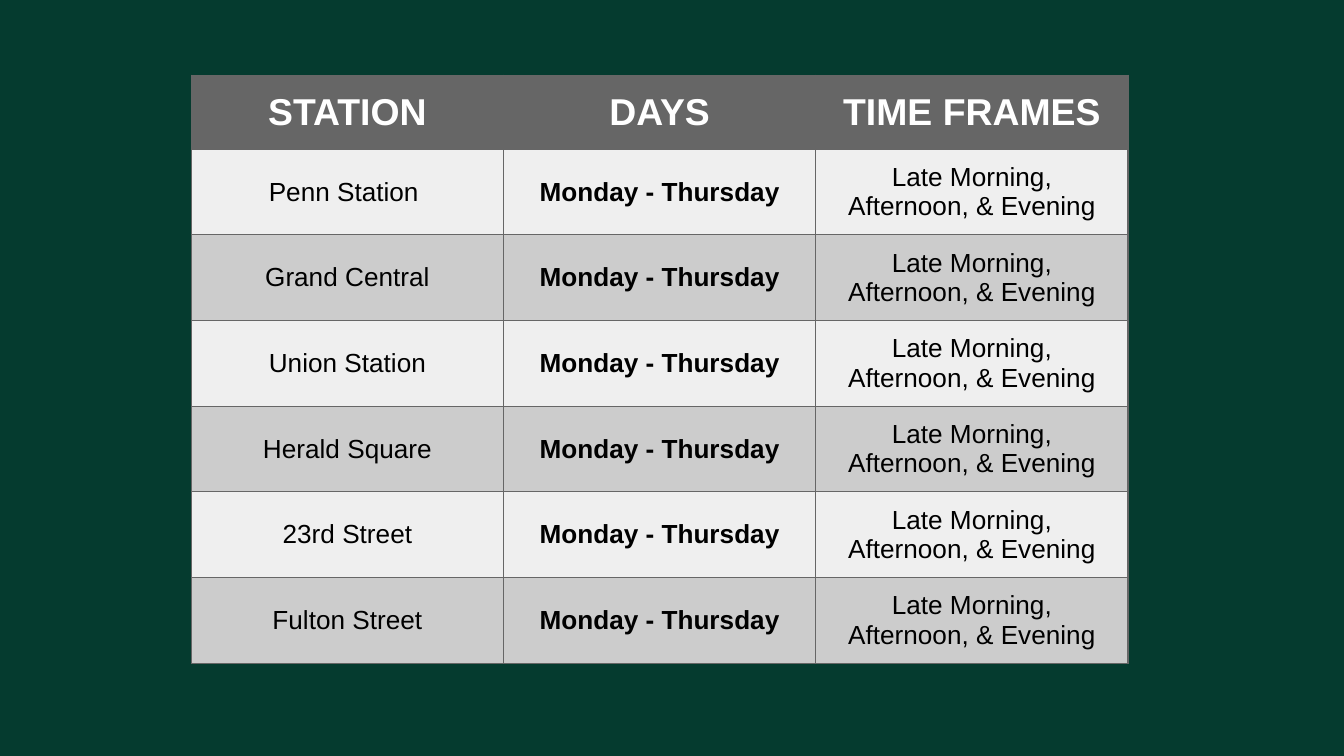
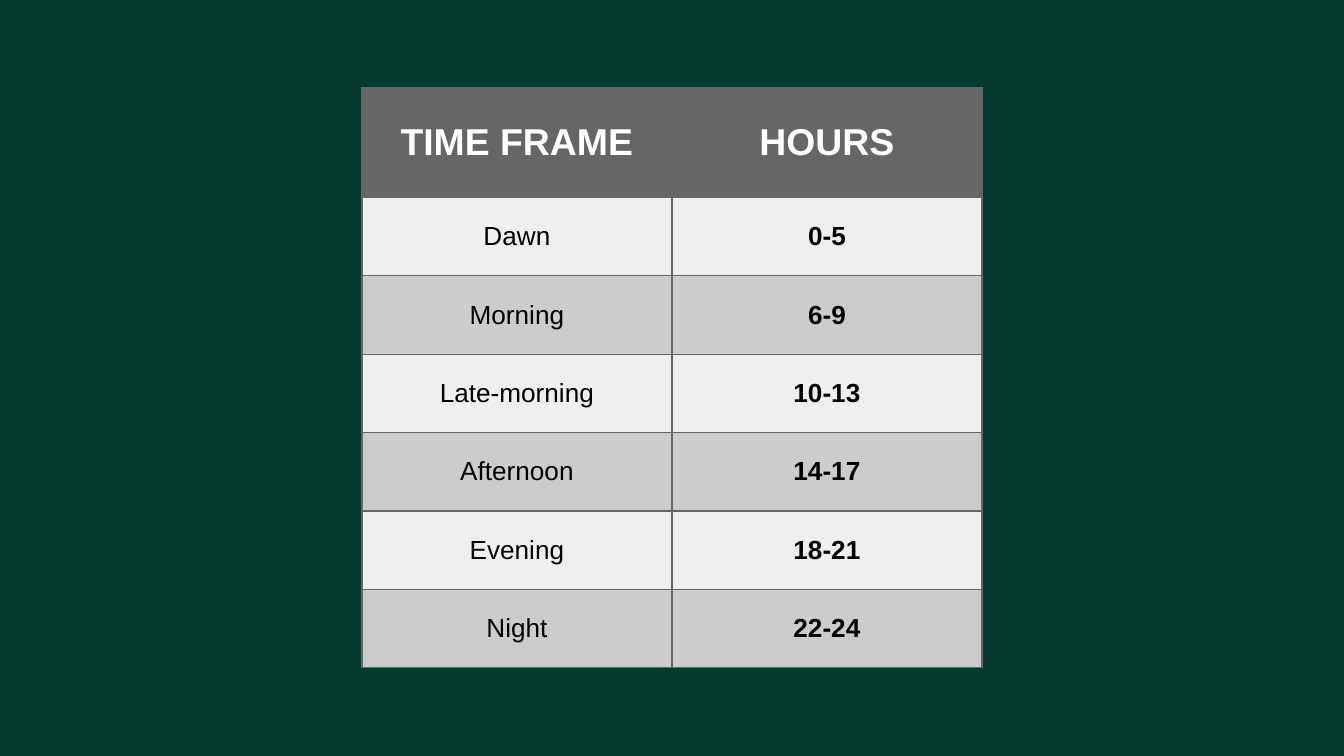
from dataclasses import dataclass

from lxml.etree import SubElement
from pptx import Presentation
from pptx.dml.color import RGBColor
from pptx.enum.text import MSO_ANCHOR, PP_ALIGN
from pptx.oxml.ns import qn
from pptx.util import Pt


@dataclass(frozen=True)
class Theme:
    """Hold the colours, font and sizes that the slides share."""
    back: str = "053B2F"
    head: str = "666666"
    bands: tuple = ("EFEFEF", "CCCCCC")
    light: str = "FFFFFF"
    dark: str = "000000"
    font: str = "Arial"
    big: int = 20
    small: int = 14
    inset: float = 7.2
    rule: float = 0.75


THEME = Theme()
DAYS = "Monday - Thursday"
TIMES = "Late Morning, Afternoon, & Evening"
STOPS = ("Penn Station ", "Grand Central", "Union Station",
         "Herald Square", "23rd Street", "Fulton Street")
HOURS = (("Dawn", "0-5"), ("Morning", "6-9"), ("Late-morning", "10-13"),
         ("Afternoon", "14-17"), ("Evening", "18-21"), ("Night", "22-24"))


def paint(fill, color):
    """Make a fill solid in one colour."""
    fill.solid()
    fill.fore_color.rgb = RGBColor.from_string(color)


def write(frame, text, *, size=THEME.small, color=THEME.dark, bold=False):
    """Put one centred line of formatted text in a frame."""
    para = frame.paragraphs[0]
    para.alignment = PP_ALIGN.CENTER
    run = para.add_run()
    run.text = text
    font = run.font
    font.name, font.size, font.bold = THEME.font, Pt(size), bold
    font.color.rgb = RGBColor.from_string(color)


def border(cell):
    """Rule all four sides of a cell."""
    props = cell._tc.get_or_add_tcPr()
    for side in "LRTB":
        line = SubElement(props, qn(f"a:ln{side}"), w=str(Pt(THEME.rule)))
        fill = SubElement(line, qn("a:solidFill"))
        SubElement(fill, qn("a:srgbClr"), val=THEME.head)


def style(cell, color):
    """Set the rules, fill, insets and anchor of a cell."""
    border(cell)
    paint(cell.fill, color)
    cell.margin_left = cell.margin_right = Pt(THEME.inset)
    cell.margin_top = cell.margin_bottom = Pt(THEME.inset)
    cell.vertical_anchor = MSO_ANCHOR.MIDDLE


def grid(slide, heads, rows, *, left, top, width, first, rest):
    """Add a table with a dark head, banded rows and a bold second column."""
    count = len(rows) + 1
    frame = slide.shapes.add_table(
        count, len(heads), Pt(left), Pt(top),
        Pt(width * len(heads)), Pt(first + rest * len(rows)))
    table = frame.table
    table.horz_banding = False
    for col in table.columns:
        col.width = Pt(width)
    for r, texts in enumerate((heads, *rows)):
        table.rows[r].height = Pt(rest if r else first)
        for c, text in enumerate(texts):
            cell = table.cell(r, c)
            if r:
                style(cell, THEME.bands[(r - 1) % 2])
                write(cell.text_frame, text, bold=c == 1)
            else:
                style(cell, THEME.head)
                write(cell.text_frame, text, size=THEME.big,
                      color=THEME.light, bold=True)


def main():
    """Build both slides and save the deck."""
    deck = Presentation()
    deck.slide_width, deck.slide_height = Pt(720), Pt(405)
    paint(deck.slide_master.background.fill, THEME.back)
    blank = deck.slide_layouts[6]
    grid(deck.slides.add_slide(blank), ("STATION", "DAYS", "TIME FRAMES"),
         [(stop, DAYS, TIMES) for stop in STOPS],
         left=102.5, top=40.3, width=167.3, first=39.6, rest=44)
    grid(deck.slides.add_slide(blank), ("TIME FRAME", "HOURS"), HOURS,
         left=193.9, top=46.8, width=166.1, first=59, rest=42)
    deck.save("out.pptx")


if __name__ == "__main__":
    main()
